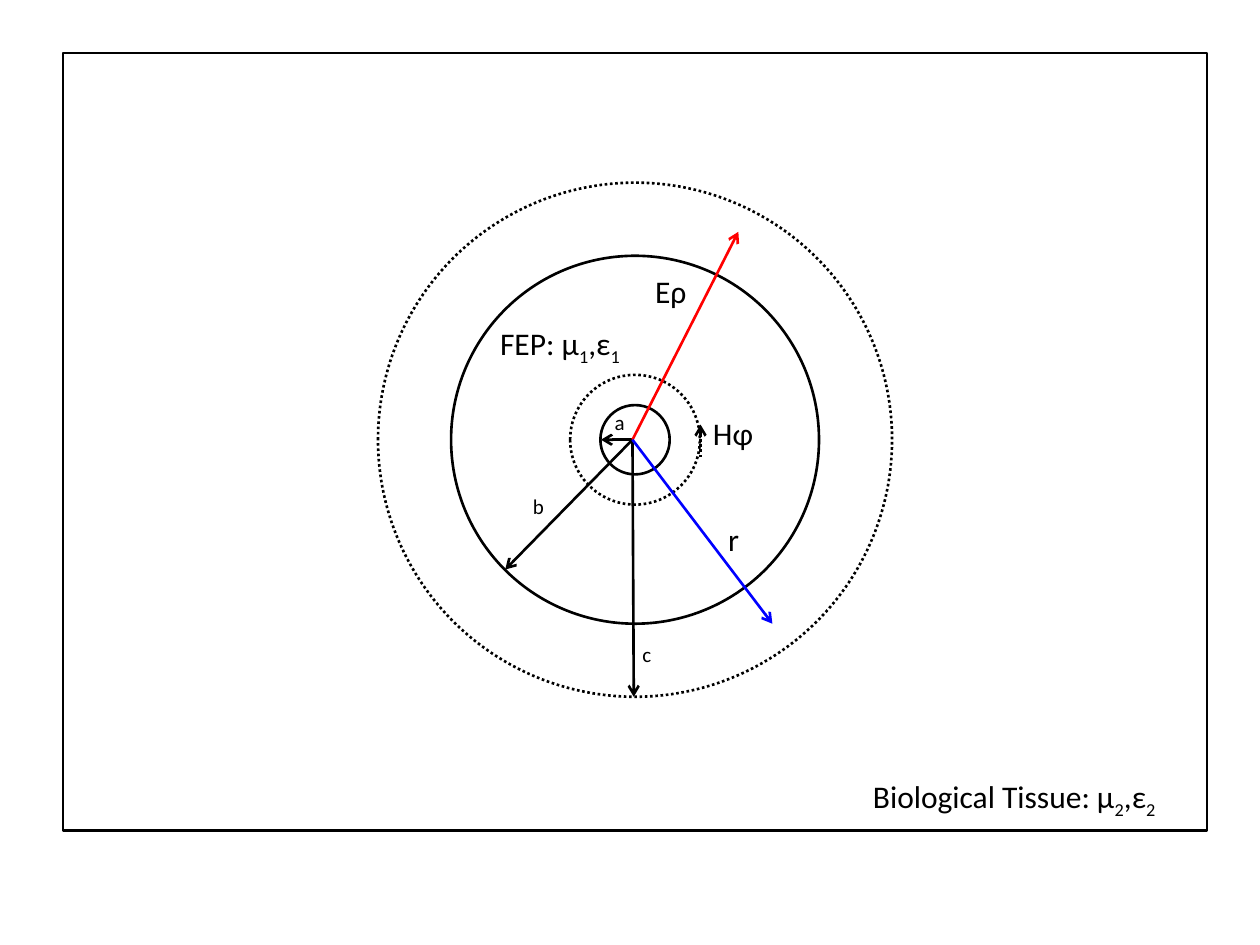
from lxml.etree import SubElement
from pptx import Presentation
from pptx.dml.color import RGBColor
from pptx.enum.dml import MSO_LINE_DASH_STYLE as Dash
from pptx.enum.shapes import MSO_CONNECTOR, MSO_SHAPE as Shape
from pptx.enum.text import MSO_AUTO_SIZE
from pptx.oxml.ns import qn
from pptx.util import Inches, Pt

BLACK = RGBColor(0, 0, 0)
RED = RGBColor(255, 0, 0)
BLUE = RGBColor(0, 0, 255)

CENTER = (5.04, 3.49)
ORIGIN = (5.02, 3.49)
FRAME = (0.5, 0.42, 9.08, 6.17)

# diameter, dotted
CIRCLES = [(0.55, False), (2.92, False), (4.08, True), (1.03, True)]

# start, end, colour, dotted
ARROWS = [
    ((5.56, 3.63), (5.56, 3.37), BLACK, True),
    (ORIGIN, (4.77, 3.49), BLACK, False),
    (ORIGIN, (4.01, 4.52), BLACK, False),
    (ORIGIN, (5.03, 5.53), BLACK, False),
    (ORIGIN, (5.86, 1.84), RED, False),
    (ORIGIN, (6.13, 4.95), BLUE, False),
]

# runs (every second one is a subscript), left, top, width, point size
LABELS = [
    (["Biological Tissue: μ", "2", ",ε", "2"], 6.83, 6.12, 2.49, 18),
    (["FEP: μ", "1", ",ε", "1"], 3.87, 2.52, 1.18, 18),
    (["Hφ"], 5.56, 3.24, 0.52, 18),
    (["Eρ"], 5.1, 2.11, 0.45, 18),
    (["r"], 5.68, 4.08, 0.29, 18),
    (["a"], 4.78, 3.2, 0.29, 12),
    (["b"], 4.13, 3.87, 0.29, 12),
    (["c"], 5, 5.04, 0.27, 12),
]
LABEL_HEIGHTS = {18: 0.4, 12: 0.3}


def style_line(line, color, dotted):
    line.color.rgb = color
    line.width = Pt(1.5)
    if dotted:
        line.dash_style = Dash.ROUND_DOT


def add_outline(slide, preset, box, dotted=False):
    shape = slide.shapes.add_shape(preset, *map(Inches, box))
    shape.shadow.inherit = False
    shape.fill.background()
    style_line(shape.line, BLACK, dotted)


def add_circle(slide, diameter, dotted):
    left, top = (middle - diameter / 2 for middle in CENTER)
    add_outline(slide, Shape.OVAL, (left, top, diameter, diameter), dotted)


def add_arrow(slide, start, end, color, dotted):
    arrow = slide.shapes.add_connector(
        MSO_CONNECTOR.STRAIGHT, *map(Inches, start + end))
    style_line(arrow.line, color, dotted)
    SubElement(arrow.line._get_or_add_ln(), qn("a:tailEnd"), type="arrow")
    SubElement(arrow._element.spPr, qn("a:effectLst"))


def add_label(slide, texts, left, top, width, size):
    box = slide.shapes.add_textbox(
        *map(Inches, (left, top, width, LABEL_HEIGHTS[size])))
    frame = box.text_frame
    frame.word_wrap = False
    frame.auto_size = MSO_AUTO_SIZE.SHAPE_TO_FIT_TEXT
    for index, text in enumerate(texts):
        run = frame.paragraphs[0].add_run()
        run.text = text
        run.font.name = "Calibri"
        run.font.size = Pt(size)
        run.font.color.rgb = BLACK
        if index % 2:
            run.font._element.set("baseline", "-25000")


def main():
    presentation = Presentation()
    presentation.slide_width = Inches(10)
    presentation.slide_height = Inches(7.5)
    slide = presentation.slides.add_slide(presentation.slide_layouts[6])

    add_outline(slide, Shape.RECTANGLE, FRAME)
    for circle in CIRCLES:
        add_circle(slide, *circle)
    for arrow in ARROWS:
        add_arrow(slide, *arrow)
    for label in LABELS:
        add_label(slide, *label)

    presentation.save("out.pptx")


if __name__ == "__main__":
    main()
